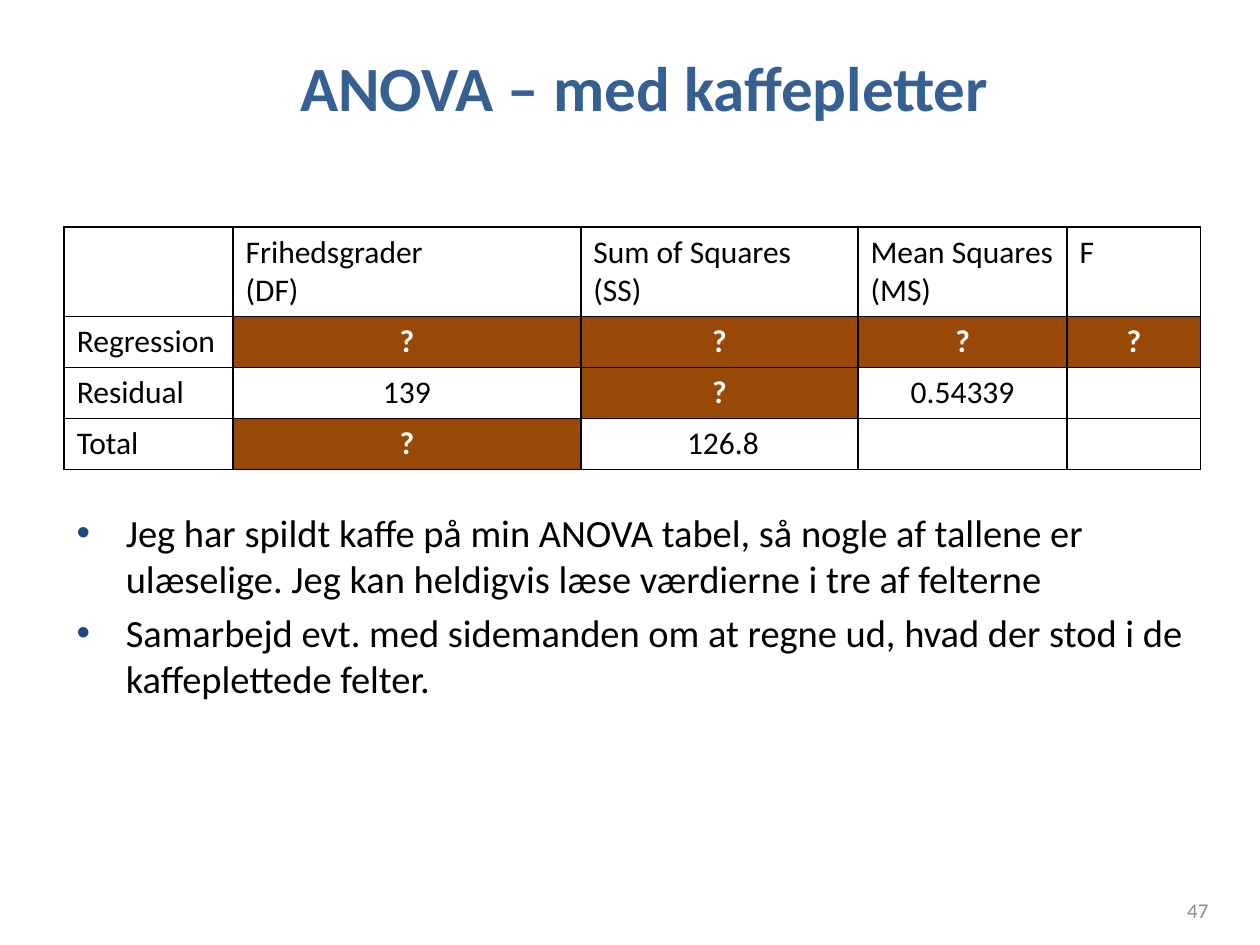
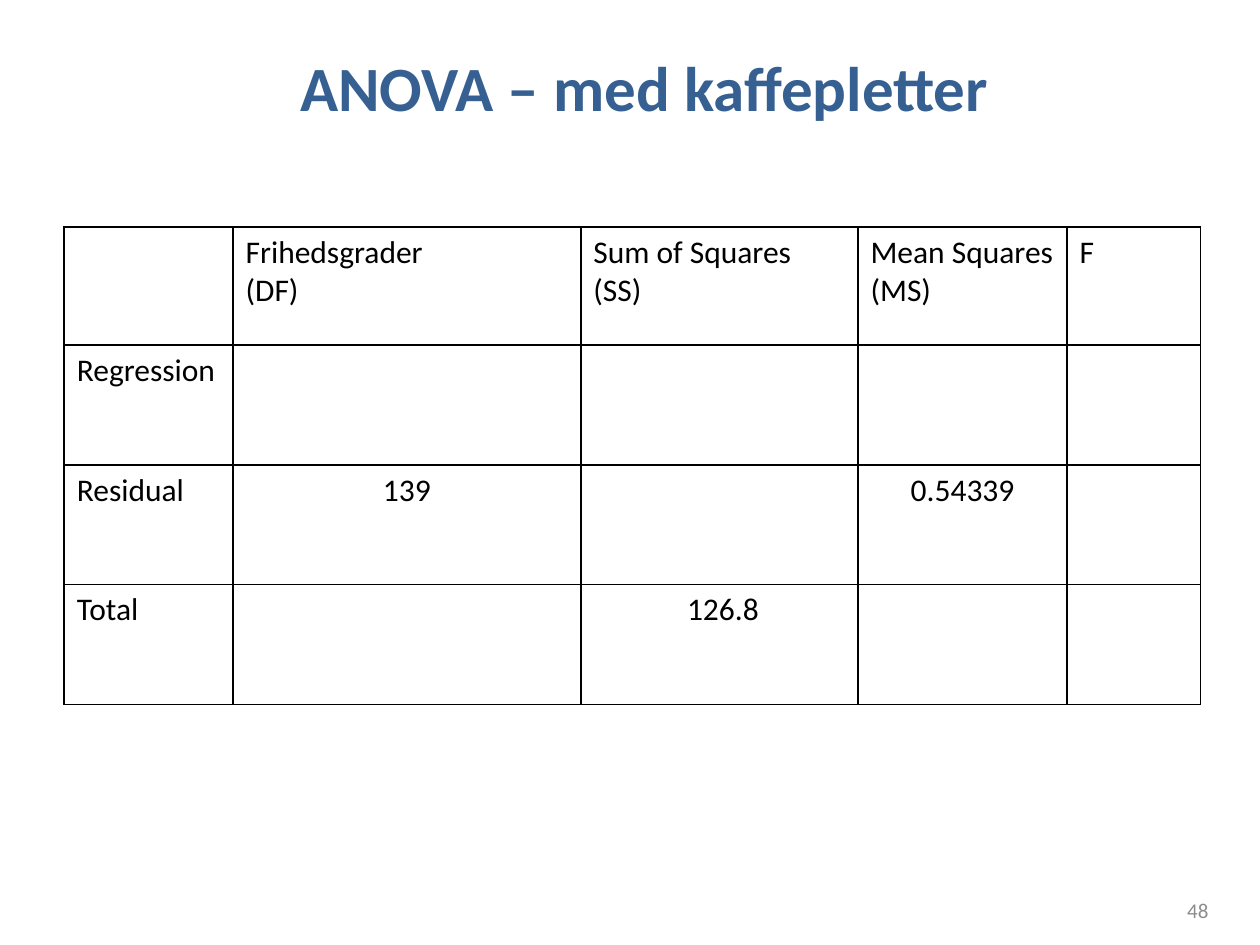
"""Build two slides on an ANOVA table with coffee stains."""
from lxml.etree import SubElement
from pptx import Presentation
from pptx.dml.color import RGBColor
from pptx.enum.text import MSO_ANCHOR, PP_ALIGN
from pptx.oxml.ns import qn
from pptx.util import Inches, Pt

TITLE = "ANOVA – med kaffepletter"
HEAD = ["", "Frihedsgrader \n(DF)", "Sum of Squares (SS)", "Mean Squares (MS)", "F"]
ROWS = [
    ["Regression", "?", "?", "?", "?"],
    ["Residual", "139", "?", "0.54339", ""],
    ["Total", "?", " 126.8", "", ""],
]
BULLETS = [
    "Jeg har spildt kaffe på min ANOVA tabel, så nogle af tallene er "
    "ulæselige. Jeg kan heldigvis læse værdierne i tre af felterne",
    "Samarbejd evt. med sidemanden om at regne ud, hvad der stod i de "
    "kaffeplettede felter.",
]
PAGES = [
    {"page": "47", "head": 0.71, "row": 0.4, "stains": True, "notes": BULLETS},
    {"page": "48", "head": 0.94, "row": 0.95, "stains": False, "notes": []},
]

FONT = "Calibri"
BLUE = RGBColor(0x37, 0x60, 0x92)
COFFEE = RGBColor(0x98, 0x48, 0x07)
BLACK = RGBColor(0, 0, 0)
WHITE = RGBColor(255, 255, 255)
GREY = RGBColor(0x8C, 0x8C, 0x8C)
DOT = "1F497D"

LEFT, WIDTH = 0.51, 9.21
COLS = [1.34, 2.76, 2.2, 1.66, 1.06]
INDENT = 0.39


def write(para, text, size, color, bold=False, align=PP_ALIGN.LEFT):
    para.alignment = align
    for i, line in enumerate(text.split("\n")):
        if i:
            para.add_line_break()
        run = para.add_run()
        run.text = line
        font = run.font
        font.name, font.size, font.bold = FONT, Pt(size), bold
        font.color.rgb = color


def add_box(slide, left, top, width, height):
    box = slide.shapes.add_textbox(*map(Inches, (left, top, width, height)))
    box.text_frame.word_wrap = True
    return box.text_frame


def add_title(slide):
    title = slide.shapes.title
    title.left, title.top = Inches(LEFT), Inches(0.3)
    title.width, title.height = Inches(WIDTH), Inches(0.77)
    frame = title.text_frame
    frame.vertical_anchor = MSO_ANCHOR.MIDDLE
    write(frame.paragraphs[0], TITLE, 36, BLUE, True, PP_ALIGN.CENTER)


def add_border(cell):
    props = cell._tc.get_or_add_tcPr()
    for side in ("lnL", "lnR", "lnT", "lnB"):
        line = SubElement(props, qn(f"a:{side}"), w=str(Pt(1)))
        fill = SubElement(line, qn("a:solidFill"))
        SubElement(fill, qn("a:srgbClr"), val=str(BLACK))


def add_grid(slide, head, row, stains):
    data = [HEAD] + ROWS
    heights = [head] + [row] * len(ROWS)
    size = (LEFT, 1.8, sum(COLS), sum(heights))
    table = slide.shapes.add_table(len(data), len(COLS), *map(Inches, size)).table
    table.first_row = table.horz_banding = False
    for col, width in zip(table.columns, COLS):
        col.width = Inches(width)
    for r, (line, height) in enumerate(zip(data, heights)):
        table.rows[r].height = Inches(height)
        for c, text in enumerate(line):
            cell = table.cell(r, c)
            add_border(cell)
            stain = text == "?"
            if stain and stains:
                cell.fill.solid()
                cell.fill.fore_color.rgb = COFFEE
            else:
                cell.fill.background()
            if text and (stains or not stain):
                align = PP_ALIGN.CENTER if r and c else PP_ALIGN.LEFT
                color = WHITE if stain else BLACK
                write(cell.text_frame.paragraphs[0], text, 18, color, stain, align)


def add_notes(slide, notes):
    frame = add_box(slide, LEFT, 3.99, WIDTH, 3.39)
    for i, text in enumerate(notes):
        para = frame.add_paragraph() if i else frame.paragraphs[0]
        write(para, text, 22, BLACK)
        props = para._p.get_or_add_pPr()
        props.set("marL", str(Inches(INDENT)))
        props.set("indent", str(-Inches(INDENT)))
        space = SubElement(props, qn("a:spcBef"))
        SubElement(space, qn("a:spcPct"), val="20000")
        color = SubElement(props, qn("a:buClr"))
        SubElement(color, qn("a:srgbClr"), val=DOT)
        SubElement(props, qn("a:buFont"), typeface="Arial")
        SubElement(props, qn("a:buChar"), char="•")


def add_page(slide, page):
    frame = add_box(slide, 7.36, 7.06, 2.33, 0.32)
    frame.vertical_anchor = MSO_ANCHOR.MIDDLE
    write(frame.paragraphs[0], page, 12, GREY, align=PP_ALIGN.RIGHT)


def main():
    deck = Presentation()
    deck.slide_width, deck.slide_height = Inches(10), Inches(7.5)
    for item in PAGES:
        slide = deck.slides.add_slide(deck.slide_layouts[5])
        add_title(slide)
        add_grid(slide, item["head"], item["row"], item["stains"])
        add_page(slide, item["page"])
        if item["notes"]:
            add_notes(slide, item["notes"])
    deck.save("out.pptx")


if __name__ == "__main__":
    main()
